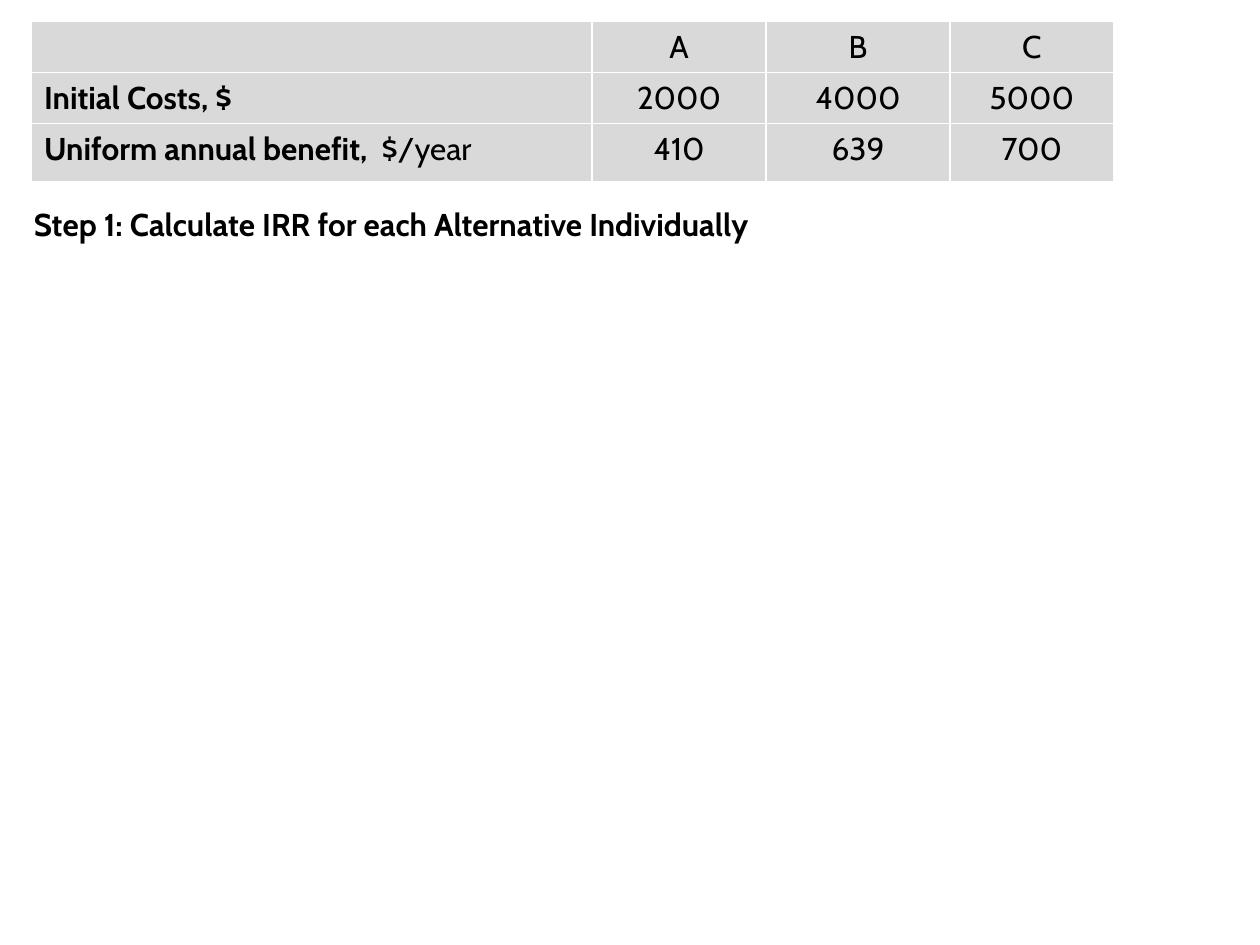
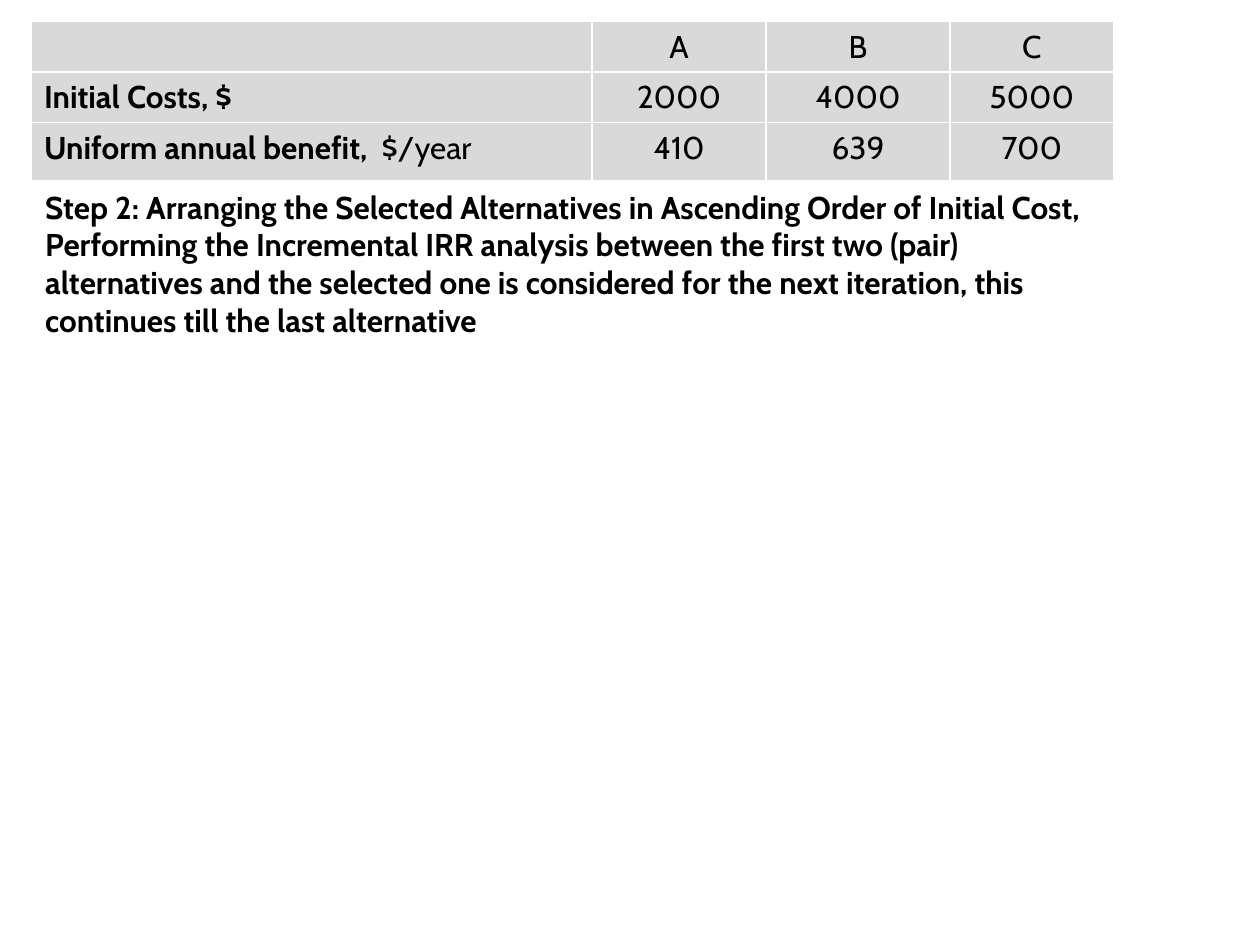
from pptx import Presentation as Deck
from pptx.util import Inches, Pt
from pptx.dml.color import RGBColor as Rgb
from pptx.enum.text import PP_ALIGN as Align, MSO_AUTO_SIZE as Fit
from lxml.etree import SubElement as Sub
from pptx.oxml.ns import qn

HUES = {"ink": "000000", "cell": "D9D9D9", "rule": "FFFFFF"}
FONT = "Cabin"
SIZE = 18
WIDE, HIGH = 10, 7.5
COLS = [4.45, 1.38, 1.46, 1.3]
ROWS = [0.4, 0.4, 0.46]
LEFT, TOP = 0.25, 0.17

GRID = [
    [[], [("A", False)], [("B", False)], [("C", False)]],
    [[("Initial Costs, $", True)],
     [("2000", False)], [("4000", False)], [("5000", False)]],
    [[("Uniform annual benefit, ", True), (" $/year", False)],
     [("410", False)], [("639", False)], [("700", False)]],
]

STEPS = [
    ((0.17, 1.58, 6.75, 0.4),
     ["Step 1: Calculate IRR for each Alternative Individually"]),
    ((0.26, 1.44, 8.58, 1.62),
     ["Step 2: Arranging the Selected Alternatives in Ascending Order of Initial Cost,",
      "Performing the Incremental IRR analysis between the first two (pair) "
      "alternatives and the selected one is considered for the next iteration, "
      "this continues till the last alternative"]),
]


def write(para, text, bold):
    run = para.add_run()
    run.text = text
    run.font.name = FONT
    run.font.size = Pt(SIZE)
    run.font.bold = bold
    run.font.color.rgb = Rgb.from_string(HUES["ink"])


def paint(cell):
    props = cell._tc.get_or_add_tcPr()
    for side in ("lnL", "lnR", "lnT", "lnB"):
        line = Sub(props, qn(f"a:{side}"), w=str(Pt(1)))
        fill = Sub(line, qn("a:solidFill"))
        Sub(fill, qn("a:srgbClr"), val=HUES["rule"])
    cell.fill.solid()
    cell.fill.fore_color.rgb = Rgb.from_string(HUES["cell"])


deck = Deck()
deck.slide_width, deck.slide_height = Inches(WIDE), Inches(HIGH)

for place, lines in STEPS:
    slide = deck.slides.add_slide(deck.slide_layouts[6])

    frame = slide.shapes.add_table(
        len(ROWS), len(COLS), Inches(LEFT), Inches(TOP),
        Inches(sum(COLS)), Inches(sum(ROWS)))
    table = frame.table
    table.first_row = table.horz_banding = False
    for col, width in zip(table.columns, COLS):
        col.width = Inches(width)
    for row, height in zip(table.rows, ROWS):
        row.height = Inches(height)
    for row, items in zip(table.rows, GRID):
        for spot, (cell, runs) in enumerate(zip(row.cells, items)):
            paint(cell)
            para = cell.text_frame.paragraphs[0]
            para.alignment = Align.CENTER if spot else Align.LEFT
            for text, bold in runs:
                write(para, text, bold)

    body = slide.shapes.add_textbox(*map(Inches, place)).text_frame
    body.word_wrap = True
    body.auto_size = Fit.SHAPE_TO_FIT_TEXT
    for spot, text in enumerate(lines):
        para = body.add_paragraph() if spot else body.paragraphs[0]
        write(para, text, True)

deck.save("out.pptx")
